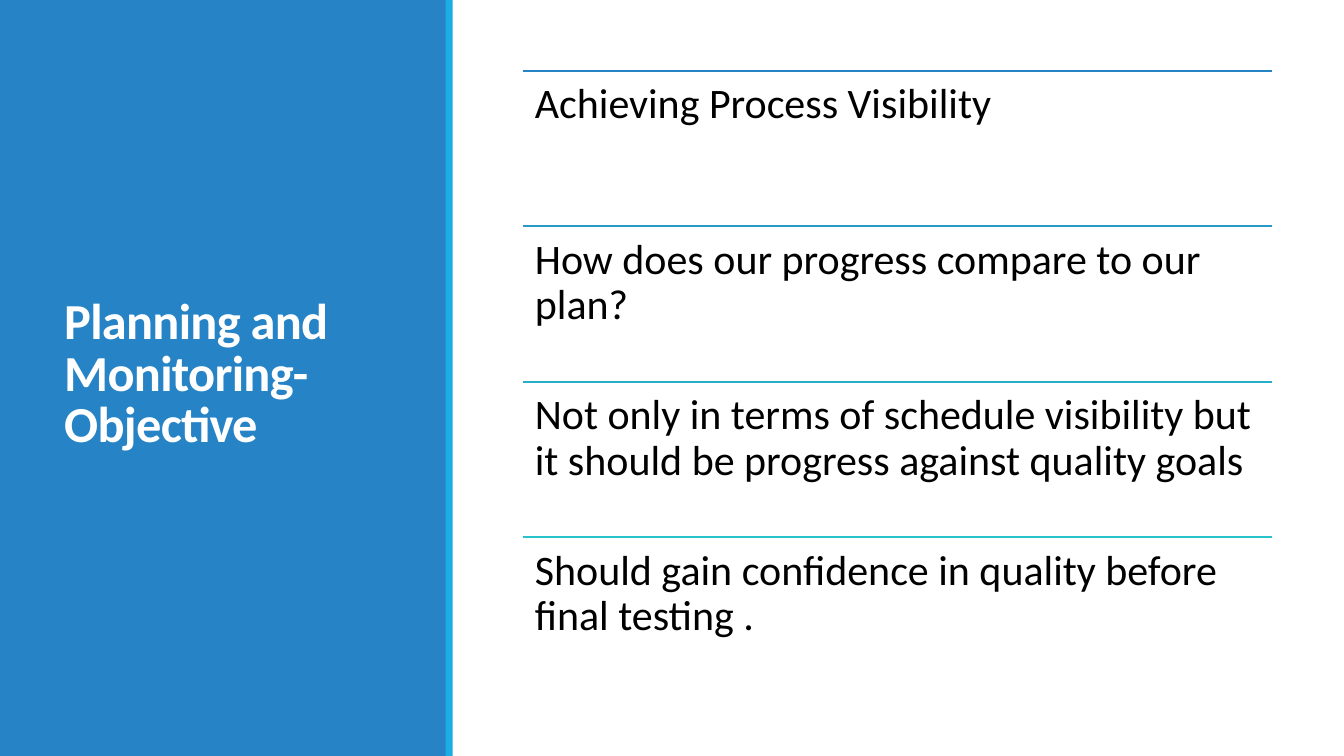
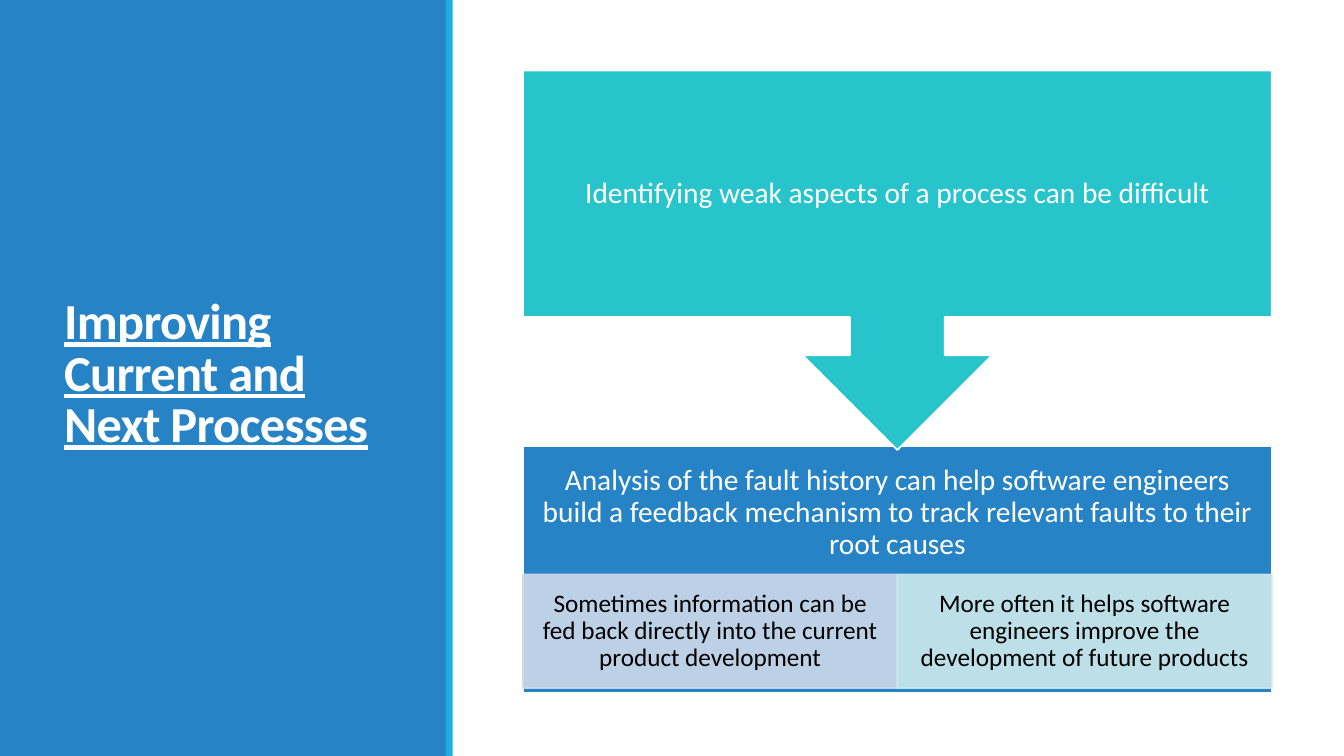
from lxml import etree
from pptx import Presentation
from pptx.dml.color import RGBColor
from pptx.enum import shapes, text
from pptx.oxml.ns import qn
from pptx.util import Cm, Pt

BLUE = RGBColor(0x26, 0x83, 0xC6)
SKY = RGBColor(0x1C, 0xAD, 0xE4)
TEAL = RGBColor(0x28, 0xC4, 0xCC)
PALE_BLUE = RGBColor(0xCD, 0xD9, 0xEA)
PALE_TEAL = RGBColor(0xCD, 0xE9, 0xEC)
WHITE = RGBColor(0xFF, 0xFF, 0xFF)
BLACK = RGBColor(0, 0, 0)
FONT = "Calibri"
LINE_WIDTH = Pt(1.25)

SLIDE_WIDTH, SLIDE_HEIGHT = Cm(33.87), Cm(19.05)
LEFT, TOP, WIDTH = Cm(13.18), Cm(1.78), Cm(18.87)

OBJECTIVE_TITLE = "Planning and Monitoring-Objective"
OBJECTIVES = [
    ("Achieving Process Visibility", BLUE),
    ("How does our progress compare to our plan?", RGBColor(0x27, 0x98, 0xC8)),
    ("Not only in terms of schedule visibility but it should be progress against quality goals",
     RGBColor(0x27, 0xAE, 0xCA)),
    ("Should gain confidence in quality before final testing .", TEAL),
]

IMPROVING_TITLE = "Improving Current and Next Processes"
PROBLEM = "Identifying weak aspects of a process can be difficult"
ANALYSIS = ("Analysis of the fault history can help software engineers build a feedback "
            "mechanism to track relevant faults to their root causes")
USES = [
    ("Sometimes information can be fed back directly into the current product development",
     PALE_BLUE),
    ("More often it helps software engineers improve the development of future products",
     PALE_TEAL),
]


def write(shape, words, size, color, margins, align=text.PP_ALIGN.CENTER,
          anchor=text.MSO_ANCHOR.MIDDLE, spacing=0.9):
    """Fill a shape with one paragraph; margins are left/right, top, bottom."""
    frame = shape.text_frame
    frame.word_wrap = True
    frame.vertical_anchor = anchor
    side, frame.margin_top, frame.margin_bottom = margins
    frame.margin_left = frame.margin_right = side
    frame.text = words
    para = frame.paragraphs[0]
    para.alignment = align
    para.line_spacing = spacing
    span = para.runs[0]
    span.font.name, span.font.size = FONT, Pt(size)
    span.font.color.rgb = color
    return span


def add_block(page, kind, place, fill, line=None):
    block = page.shapes.add_shape(kind, *place)
    block.shadow.inherit = False
    block.fill.solid()
    block.fill.fore_color.rgb = fill
    if line is None:
        block.line.fill.background()
    else:
        block.line.color.rgb = line
        block.line.width = LINE_WIDTH
    return block


def set_opacity(shape, percent):
    """Apply the opacity to both fill and outline."""
    for color in shape._element.spPr.iter(qn("a:srgbClr")):
        etree.SubElement(color, qn("a:alpha")).set("val", str(percent * 1000))


def add_rule(page, top, color):
    rule = page.shapes.add_connector(
        shapes.MSO_CONNECTOR.STRAIGHT, LEFT, top, LEFT + WIDTH, top)
    rule.line.color.rgb = color
    rule.line.width = LINE_WIDTH
    etree.SubElement(rule._element.spPr, qn("a:effectLst"))


def add_page(deck, title, underline=False):
    """Add a slide with the side panel and its title."""
    page = deck.slides.add_slide(deck.slide_layouts[6])
    rectangle = shapes.MSO_SHAPE.RECTANGLE
    add_block(page, rectangle, (0, 0, Cm(11.25), SLIDE_HEIGHT), BLUE)
    add_block(page, rectangle, (Cm(11.23), 0, Cm(0.18), SLIDE_HEIGHT), SKY)
    box = page.shapes.add_textbox(Cm(1.37), Cm(1.45), Cm(8.56), Cm(16.03))
    span = write(box, title, 36, WHITE, (Cm(0.25), Cm(0.13), Cm(0.13)),
                 align=text.PP_ALIGN.LEFT, spacing=0.85)
    span.font.bold = True
    span.font.underline = underline
    span._r.get_or_add_rPr().set("spc", "-50")
    return page


def build_objectives(deck):
    page = add_page(deck, OBJECTIVE_TITLE)
    row_height = Cm(3.92)
    for index, (words, color) in enumerate(OBJECTIVES):
        top = TOP + index * row_height
        add_rule(page, top, color)
        box = page.shapes.add_textbox(LEFT, top, WIDTH, row_height)
        write(box, words, 30, BLACK, (Cm(0.3), Cm(0.3), Cm(0.3)),
              align=text.PP_ALIGN.LEFT, anchor=text.MSO_ANCHOR.TOP)


def build_improving(deck):
    page = add_page(deck, IMPROVING_TITLE, underline=True)
    rectangle = shapes.MSO_SHAPE.RECTANGLE
    margin = Cm(0.41)

    analysis_height, heading_height = Cm(6.22), Cm(3.36)
    analysis = add_block(page, rectangle, (LEFT, Cm(11.25), WIDTH, analysis_height), BLUE, WHITE)
    write(analysis, ANALYSIS, 21, WHITE,
          (margin, margin, analysis_height - heading_height + margin))

    use_width = WIDTH // len(USES)
    for index, (words, color) in enumerate(USES):
        place = (LEFT + index * use_width, Cm(14.48), use_width, Cm(2.86))
        use = add_block(page, rectangle, place, color, color)
        set_opacity(use, 90)
        write(use, words, 18, BLACK, (Cm(0.36), Cm(0.09), Cm(0.09)))

    problem = add_block(page, shapes.MSO_SHAPE.DOWN_ARROW_CALLOUT,
                        (LEFT, TOP, WIDTH, Cm(9.56)), TEAL, WHITE)
    write(problem, PROBLEM, 21, WHITE, (margin, margin, margin))


def main():
    deck = Presentation()
    deck.slide_width, deck.slide_height = SLIDE_WIDTH, SLIDE_HEIGHT
    build_objectives(deck)
    build_improving(deck)
    deck.save("out.pptx")


if __name__ == "__main__":
    main()
